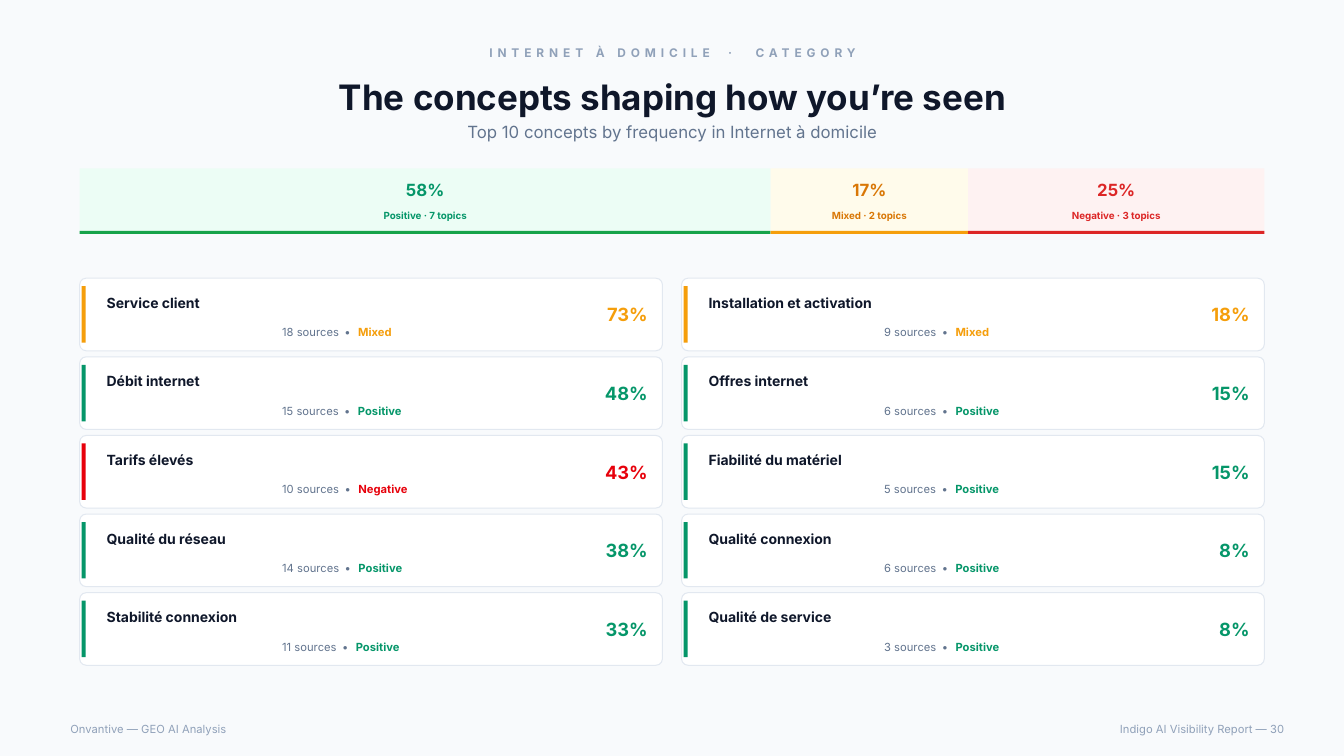
import pptx
import pptx.util
import pptx.dml.color
import pptx.enum.shapes
import pptx.enum.text

Inches = pptx.util.Inches
ALIGN = pptx.enum.text.PP_ALIGN
ANCHOR = pptx.enum.text.MSO_ANCHOR
SHAPE = pptx.enum.shapes.MSO_SHAPE

HUES = {
    "page": "F8FAFC", "card": "FFFFFF", "edge": "E2E8F0",
    "ink": "0F172A", "slate": "62748E", "mist": "90A1B9",
    "Positive": "059669", "Mixed": "F59E0B", "Negative": "E7000B",
}
BANDS = [
    ("Positive", "58%", 7, {"fill": "ECFDF5", "rule": "16A34A", "text": "059669"}),
    ("Mixed", "17%", 2, {"fill": "FFFBEB", "rule": "F59E0B", "text": "D97706"}),
    ("Negative", "25%", 3, {"fill": "FEF2F2", "rule": "DC2626", "text": "DC2626"}),
]
TOPICS = [
    ("Service client", 18, "Mixed", "73%"),
    ("Débit internet", 15, "Positive", "48%"),
    ("Tarifs élevés", 10, "Negative", "43%"),
    ("Qualité du réseau", 14, "Positive", "38%"),
    ("Stabilité connexion", 11, "Positive", "33%"),
    ("Installation et activation", 9, "Mixed", "18%"),
    ("Offres internet", 6, "Positive", "15%"),
    ("Fiabilité du matériel", 5, "Positive", "15%"),
    ("Qualité connexion", 6, "Positive", "8%"),
    ("Qualité de service", 3, "Positive", "8%"),
]
LEFT, WIDTH = 0.79, 11.75
ROWS = 5


def rgb(code):
    return pptx.dml.color.RGBColor.from_string(code)


def add_text(slide, box, runs, align=ALIGN.LEFT, anchor=ANCHOR.MIDDLE):
    frame = slide.shapes.add_textbox(*map(Inches, box)).text_frame
    for key, value in {"word_wrap": True, "vertical_anchor": anchor}.items():
        setattr(frame, key, value)
    para = frame.paragraphs[0]
    para.alignment = align
    for text, size, hue, bold, gap in runs:
        run = para.add_run()
        run.text = text
        look = {"name": "Inter", "size": pptx.util.Pt(size), "bold": bold}
        for key, value in look.items():
            setattr(run.font, key, value)
        run.font.color.rgb = rgb(hue)
        if gap:
            run.font._element.set("spc", str(round(gap * 100)))


def add_block(slide, box, fill, edge=None, kind=SHAPE.RECTANGLE):
    block = slide.shapes.add_shape(kind, *map(Inches, box))
    block.shadow.inherit = False
    block.fill.solid()
    block.fill.fore_color.rgb = rgb(fill)
    if edge:
        block.line.color.rgb = rgb(edge)
        block.line.width = pptx.util.Pt(0.75)
    else:
        block.line.fill.background()
    return block


def add_head(slide):
    mist = HUES["mist"]
    kicker = [
        ("INTERNET À DOMICILE", 8.5, mist, True, 3.5),
        (" · ", 8.5, mist, True, 7.4),
        ("CATEGORY", 8.5, mist, True, 3.5),
    ]
    title = [("The concepts shaping how you’re seen", 25, HUES["ink"], True, 0)]
    note = [("Top 10 concepts by frequency in Internet à domicile",
             12, HUES["slate"], False, 0)]
    for top, high, runs in [(0.4, 0.25, kicker), (0.68, 0.56, title), (1.18, 0.25, note)]:
        add_text(slide, (0.6, top, 12.14, high), runs, ALIGN.CENTER)


def add_foot(slide):
    for left, wide, text, align in [
        (0.6, 5.97, "Onvantive — GEO AI Analysis", ALIGN.LEFT),
        (6.81, 6.03, "Indigo AI Visibility Report — 30", ALIGN.RIGHT),
    ]:
        add_text(slide, (left, 7.12, wide, 0.22),
                 [(text, 8, HUES["mist"], False, 0)], align)


def add_bands(slide):
    total = sum(band[2] for band in BANDS)
    left = LEFT
    for mood, share, count, tint in BANDS:
        wide = WIDTH * count / total
        add_block(slide, (left, 1.67, wide, 0.65), tint["fill"])
        add_block(slide, (left, 2.29, wide, 0.03), tint["rule"])
        label = f"{mood} · {count} topics"
        for top, high, text, size in [(1.74, 0.28, share, 12), (2.03, 0.22, label, 7)]:
            add_text(slide, (left, top, wide, high),
                     [(text, size, tint["text"], True, 0)], ALIGN.CENTER)
        left += wide


def add_card(slide, left, top, topic):
    name, count, mood, share = topic
    hue, slate = HUES[mood], HUES["slate"]
    card = add_block(slide, (left, top, 5.78, 0.72), HUES["card"], HUES["edge"],
                     SHAPE.ROUNDED_RECTANGLE)
    card.adjustments[0] = 0.09
    add_block(slide, (left + 0.02, top + 0.08, 0.04, 0.56), hue)
    add_text(slide, (left + 0.17, top + 0.11, 4.53, 0.27),
             [(name, 10, HUES["ink"], True, 0)], anchor=ANCHOR.TOP)
    add_text(slide, (left + 1.91, top + 0.42, 2.79, 0.22),
             [(f"{count} sources", 8, slate, False, 0),
              (" • ", 8, slate, False, 1.5),
              (mood, 8, hue, True, 0)], anchor=ANCHOR.TOP)
    add_text(slide, (left + 5.01, top, 0.72, 0.72),
             [(share, 13, hue, True, 0)], ALIGN.RIGHT)


def main():
    deck = pptx.Presentation()
    deck.slide_width, deck.slide_height = Inches(13.33), Inches(7.5)
    slide = deck.slides.add_slide(deck.slide_layouts[6])
    back = slide.background.fill
    back.solid()
    back.fore_color.rgb = rgb(HUES["page"])
    add_head(slide)
    add_foot(slide)
    add_bands(slide)
    for place, topic in enumerate(TOPICS):
        col, row = divmod(place, ROWS)
        add_card(slide, LEFT + col * 5.97, 2.76 + row * 0.78, topic)
    deck.save("out.pptx")


if __name__ == "__main__":
    main()
